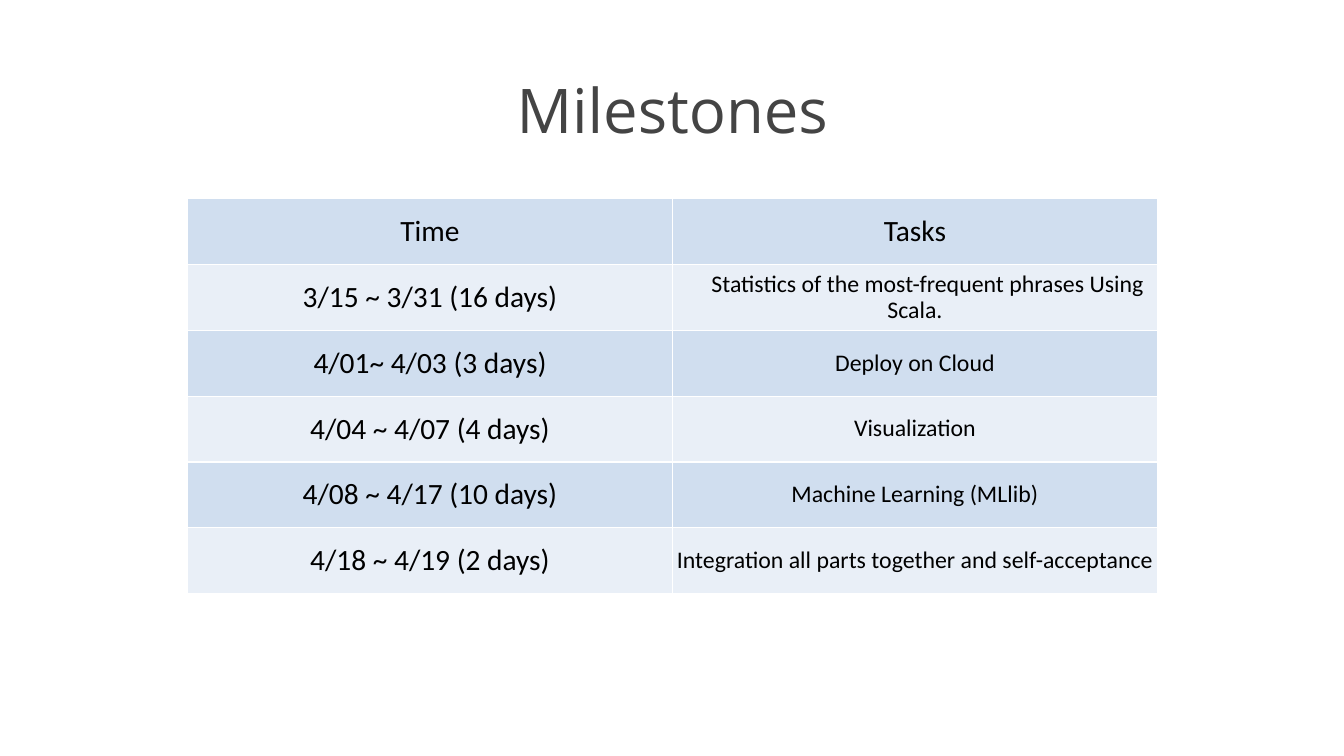
from lxml import etree
from pptx import Presentation
from pptx import util as u
from pptx.dml import color
from pptx.enum import text
from pptx.oxml import ns

MILESTONES = [
    ("Time", "Tasks"),
    ("3/15 ~ 3/31 (16 days)", "Statistics of the most-frequent phrases Using Scala."),
    ("4/01~ 4/03 (3 days)", "Deploy on Cloud"),
    ("4/04 ~ 4/07 (4 days)", "Visualization"),
    ("4/08 ~ 4/17 (10 days)", "Machine Learning (MLlib)"),
    ("4/18 ~ 4/19 (2 days)", "Integration all parts together and self-acceptance"),
]
BANDS = ("D0DEEF", "E9EFF7")
PLAIN = {"alignment": text.PP_ALIGN.CENTER}
TIGHT = {**PLAIN, "line_spacing": 0.9}
TASK = {**TIGHT, "space_before": u.Pt(10)}


def rgb(value):
    """Turn a hex string into a colour."""
    return color.RGBColor.from_string(value)


def assign(target, values):
    """Set every attribute named in a dict of format values."""
    for name, value in values.items():
        setattr(target, name, value)


def margins(inches):
    """Give the same margin on all four sides."""
    return {f"margin_{side}": u.Inches(inches) for side in ("left", "right", "top", "bottom")}


class Deck:
    """Holds the style and the current slide."""

    def __init__(self, width, height):
        """Open a presentation with one blank slide."""
        self.prs = Presentation()
        self.prs.slide_width, self.prs.slide_height = u.Inches(width), u.Inches(height)
        self.slide = self.prs.slides.add_slide(self.prs.slide_layouts[6])

    def wording(self, frame, words, layout, font, size, ink):
        """Put one formatted paragraph into a text frame."""
        paragraph = frame.paragraphs[0]
        assign(paragraph, layout)
        run = paragraph.add_run()
        run.text = words
        assign(run.font, {"name": font, "size": u.Pt(size)})
        run.font.color.rgb = rgb(ink)
        return paragraph

    def title(self, words, box):
        """Add the centred heading."""
        frame = self.slide.shapes.add_textbox(*map(u.Inches, box)).text_frame
        assign(frame, {"word_wrap": True, "vertical_anchor": text.MSO_ANCHOR.MIDDLE, **margins(0.05)})
        self.wording(frame, words, TIGHT, "Open Sans", 44, "444444")

    def border(self, cell, ink, points):
        """Draw a solid line on all four sides of a cell."""
        properties = cell._tc.get_or_add_tcPr()
        for place, side in enumerate(("lnL", "lnR", "lnT", "lnB")):
            line = etree.Element(ns.qn(f"a:{side}"), w=str(u.Pt(points)))
            fill = etree.SubElement(line, ns.qn("a:solidFill"))
            etree.SubElement(fill, ns.qn("a:srgbClr"), val=ink)
            properties.insert(place, line)

    def cell(self, cell, words, band, layout, size):
        """Fill, frame and letter one table cell."""
        assign(cell, {"vertical_anchor": text.MSO_ANCHOR.MIDDLE, **margins(0)})
        cell.fill.solid()
        cell.fill.fore_color.rgb = rgb(band)
        self.border(cell, "FFFFFF", 1)
        return self.wording(cell.text_frame, words, layout, "Calibri", size, "000000")

    def schedule(self, rows, box):
        """Add the banded table of times and tasks."""
        table = self.slide.shapes.add_table(len(rows), 2, *map(u.Inches, box)).table
        for r, (time, task) in enumerate(rows):
            band = BANDS[r % 2]
            self.cell(table.cell(r, 0), time, band, PLAIN, 21)
            layout, size = (TASK, 17) if r else (PLAIN, 21)
            paragraph = self.cell(table.cell(r, 1), task, band, layout, size)
            if r == 1:
                paragraph.level = 1
                properties = paragraph._p.get_or_add_pPr()
                properties.set("marL", "0")
                properties.set("indent", str(u.Inches(0.25)))


deck = Deck(13.33, 7.5)
deck.schedule(MILESTONES, (1.86, 1.97, 9.62, 3.92))
deck.title("Milestones", (0.92, 0.4, 11.5, 1.45))
deck.prs.save("out.pptx")
